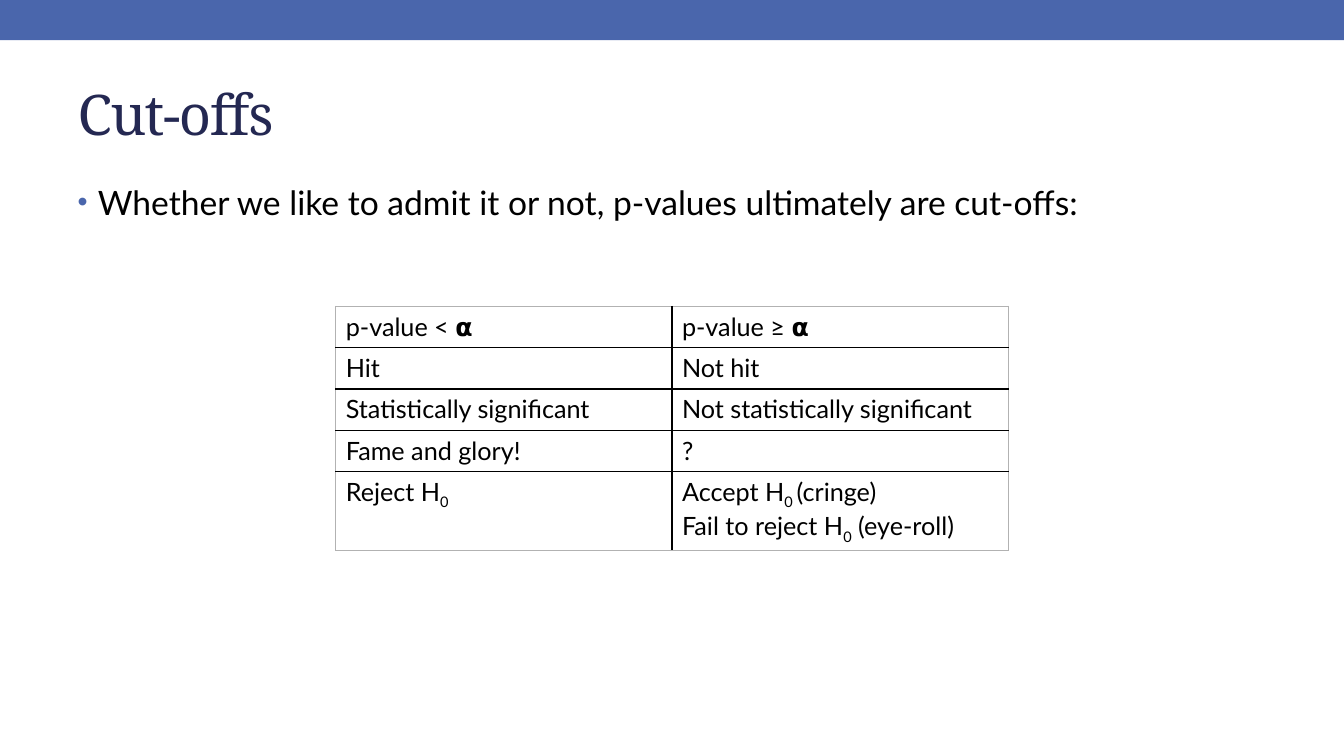
from dataclasses import dataclass

from lxml import etree
from pptx import Presentation
from pptx import util as u
from pptx.dml import color
from pptx.enum import shapes, text
from pptx.oxml import ns

COLORS = {"band": "4A66AC", "title": "242852", "ink": "000000", "edge": "B2B2B2"}
SERIF, SANS = "Noto Serif", "Lato"


@dataclass
class Style:
    font: str
    size: int
    color: str


@dataclass
class Outcome:
    """One table row; text between bars is subscript."""
    below: str
    above: str
    height: float = 0.41


TITLE_STYLE = Style(SERIF, 40, "title")
BODY_STYLE = Style(SANS, 24, "ink")
CELL_STYLE = Style(SANS, 18, "ink")

OUTCOMES = [
    Outcome("p-value < 𝝰", "p-value ≥ 𝝰"),
    Outcome("Hit", "Not hit"),
    Outcome("Statistically significant", "Not statistically significant"),
    Outcome("Fame and glory!", "?"),
    Outcome("Reject H|0|", "Accept H|0 |(cringe)\nFail to reject H|0| (eye-roll)", 0.68),
]


def rgb(name: str) -> color.RGBColor:
    return color.RGBColor.from_string(COLORS[name])


def add_color(parent, name: str) -> None:
    etree.SubElement(parent, ns.qn("a:srgbClr"), val=COLORS[name])


def place(shape, left: float, top: float, width: float, height: float) -> None:
    box = {"left": left, "top": top, "width": width, "height": height}
    for side, length in box.items():
        setattr(shape, side, u.Inches(length))


def write(paragraph, content: str, style: Style) -> None:
    for index, part in enumerate(content.split("|")):
        if not part:
            continue
        run = paragraph.add_run()
        run.text = part
        values = {"name": style.font, "size": u.Pt(style.size), "bold": False}
        for key, value in values.items():
            setattr(run.font, key, value)
        run.font.color.rgb = rgb(style.color)
        if index % 2:
            run.font._element.set("baseline", "-25000")


def prepare_frame(frame, anchor) -> None:
    values = {"word_wrap": True, "auto_size": text.MSO_AUTO_SIZE.NONE,
              "vertical_anchor": anchor}
    for key, value in values.items():
        setattr(frame, key, value)


def add_bullet(paragraph) -> None:
    properties = paragraph._p.get_or_add_pPr()
    properties.set("marL", str(u.Inches(0.2)))
    properties.set("indent", str(u.Inches(-0.2)))
    add_color(etree.SubElement(properties, ns.qn("a:buClr")), "band")
    etree.SubElement(properties, ns.qn("a:buSzPct"), val="85000")
    etree.SubElement(properties, ns.qn("a:buChar"), char="•")


def add_borders(cell, edges: dict[str, str]) -> None:
    properties = cell._tc.get_or_add_tcPr()
    for side, name in edges.items():
        line = etree.SubElement(properties, ns.qn(f"a:ln{side}"), w=str(u.Pt(1)))
        add_color(etree.SubElement(line, ns.qn("a:solidFill")), name)


def add_outcome_table(slide) -> None:
    height = sum(outcome.height for outcome in OUTCOMES)
    frame = slide.shapes.add_table(len(OUTCOMES), 2, u.Inches(3.33), u.Inches(3.04),
                                   u.Inches(6.67), u.Inches(height))
    table = frame.table
    table.first_row = table.horz_banding = False
    last = len(OUTCOMES) - 1
    for row, outcome in enumerate(OUTCOMES):
        table.rows[row].height = u.Inches(outcome.height)
        for column, content in enumerate((outcome.below, outcome.above)):
            cell = table.cell(row, column)
            add_borders(cell, {
                "L": "ink" if column else "edge",
                "R": "edge" if column else "ink",
                "T": "ink" if row else "edge",
                "B": "ink" if row < last else "edge",
            })
            cell.fill.background()
            for index, line in enumerate(content.split("\n")):
                paragraphs = cell.text_frame
                paragraph = paragraphs.add_paragraph() if index else paragraphs.paragraphs[0]
                write(paragraph, line, CELL_STYLE)


def main() -> None:
    deck = Presentation()
    deck.slide_width, deck.slide_height = u.Inches(13.33), u.Inches(7.5)
    slide = deck.slides.add_slide(deck.slide_layouts[1])

    # Top band
    band = slide.shapes.add_shape(shapes.MSO_SHAPE.RECTANGLE, 0, 0,
                                  deck.slide_width, u.Inches(0.4))
    band.shadow.inherit = False
    band.fill.solid()
    band.fill.fore_color.rgb = rgb("band")
    band.line.fill.background()

    # Title
    title = slide.shapes.title
    place(title, 0.67, 0.58, 12, 1.08)
    prepare_frame(title.text_frame, text.MSO_ANCHOR.MIDDLE)
    heading = title.text_frame.paragraphs[0]
    heading.alignment = text.PP_ALIGN.LEFT
    write(heading, "Cut-offs", TITLE_STYLE)
    heading.runs[0].font._element.set("spc", "-100")

    # Opening statement
    body = slide.placeholders[1]
    place(body, 0.67, 1.75, 12, 5.33)
    prepare_frame(body.text_frame, text.MSO_ANCHOR.TOP)
    statement = body.text_frame.paragraphs[0]
    add_bullet(statement)
    statement.space_before = u.Pt(0)
    write(statement, "Whether we like to admit it or not, p-values ultimately are cut-offs:",
          BODY_STYLE)

    # Outcomes on each side of the cut-off
    add_outcome_table(slide)
    deck.save("out.pptx")


if __name__ == "__main__":
    main()
